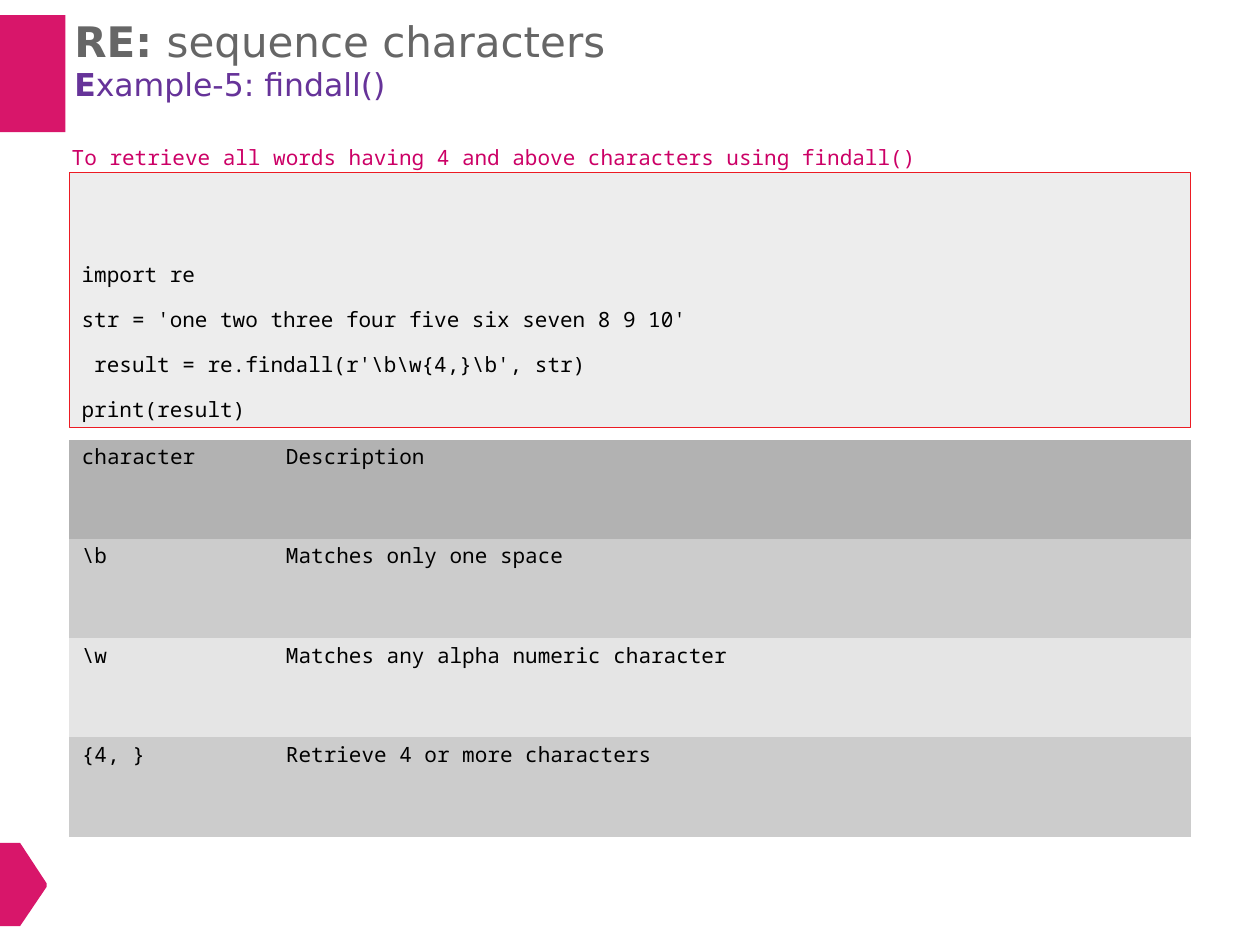
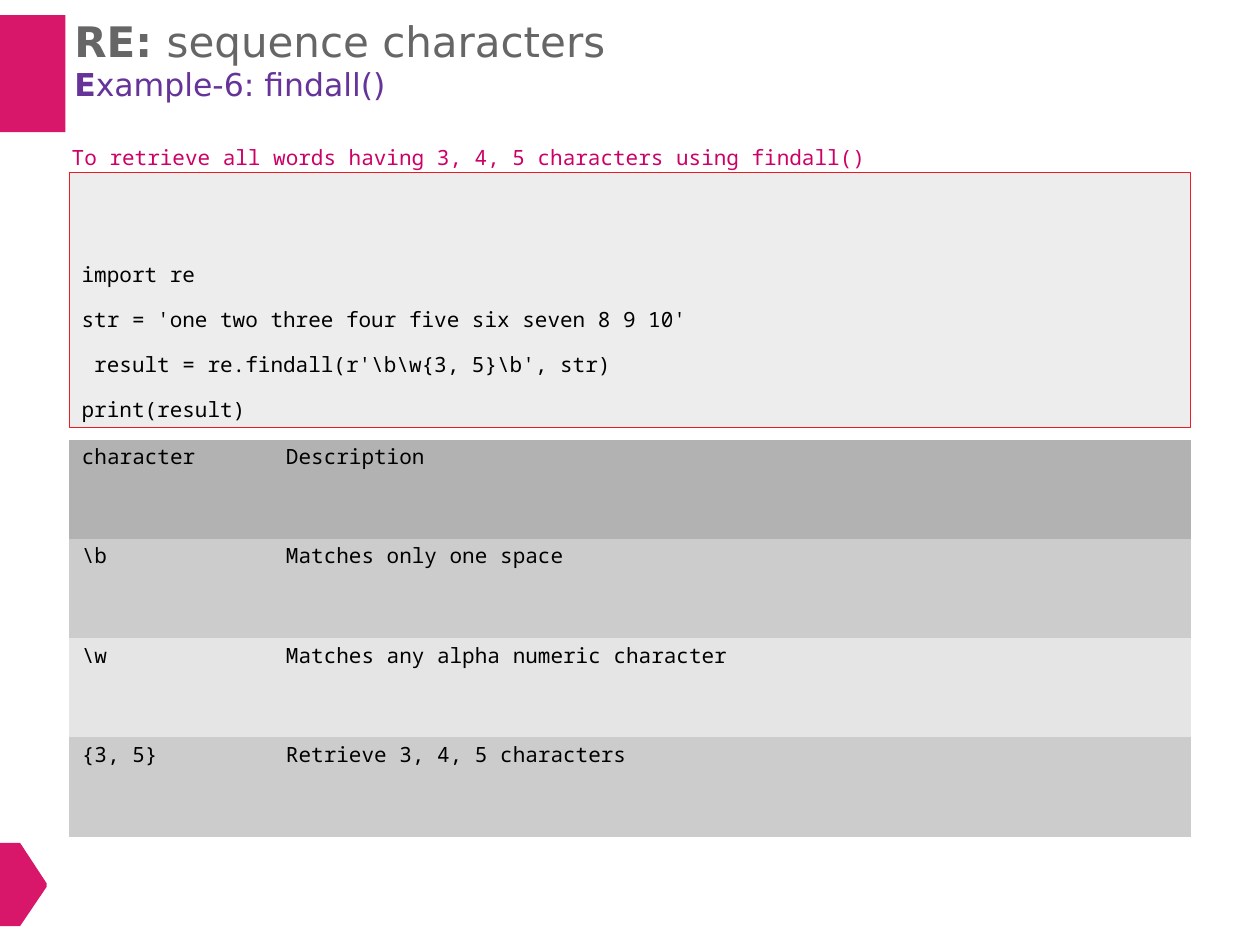
from pptx import Presentation
from pptx.dml.color import RGBColor
from pptx.enum.shapes import MSO_SHAPE
from pptx.enum.text import MSO_ANCHOR, PP_ALIGN
from pptx.util import Inches, Pt

PINK, GREY, PURPLE, ROSE = "D8166A", "666666", "663399", "CC0066"
PANEL, RED, BLACK = "EDEDED", "EC1B23", "000000"
BANDS = ["B2B2B2", "CCCCCC", "E5E5E5", "CCCCCC"]
SANS, MONO = "DejaVu Sans", "Noto Sans Mono"
PLAIN = "{2D5ABB26-0587-4C30-8999-92F81FD0307C}"


def paint(part, color):
    if hasattr(part, "solid"):
        part.solid()
        part = part.fore_color
    else:
        part = part.color
    part.rgb = RGBColor.from_string(color)


def style(para, font, size, color):
    para.alignment = PP_ALIGN.LEFT
    para.font.name = font
    para.font.size = Pt(size)
    paint(para.font, color)


pages = [
    {
        "title": "xample-5: findall()",
        "task": "To retrieve all words having 4 and above characters using findall()",
        "match": r"\b\w{4,}\b",
        "cols": [1.36, 7.54],
        "rows": [
            ["character", "Description"],
            [r"\b", "Matches only one space"],
            [r"\w", "Matches any alpha numeric character"],
            ["{4, }", "Retrieve 4 or more characters"],
        ],
    },
    {
        "title": "xample-6: findall()",
        "task": "To retrieve all words having 3, 4, 5 characters using findall()",
        "match": r"\b\w{3, 5}\b",
        "cols": [1.36, 2.06, 5.48],
        "rows": [
            ["character", "Description", ""],
            [r"\b", "Matches only one", "space"],
            [r"\w", "Matches any alpha", "numeric character"],
            ["{3, 5}", "Retrieve 3, 4, 5", "characters"],
        ],
    },
]

deck = Presentation()
deck.slide_width, deck.slide_height = Inches(10), Inches(7.5)

for page in pages:
    slide = deck.slides.add_slide(deck.slide_layouts[6])
    shapes = slide.shapes

    band = shapes.add_shape(MSO_SHAPE.RECTANGLE, 0, Inches(0.12), Inches(0.52), Inches(0.93))
    pen = shapes.build_freeform(0, Inches(6.69))
    edge = [(0.16, 6.69), (0.37, 7.01), (0.37, 7.04), (0.16, 7.35), (0, 7.35)]
    pen.add_line_segments([(Inches(x), Inches(y)) for x, y in edge])
    for mark in (band, pen.convert_to_shape()):
        paint(mark.fill, PINK)
        mark.line.fill.background()
        mark.shadow.inherit = False

    title = shapes.add_textbox(Inches(0.58), Inches(0.11), Inches(4.3), Inches(0.73))
    panel = shapes.add_shape(MSO_SHAPE.RECTANGLE, Inches(0.55), Inches(1.37), Inches(8.9), Inches(2.02))
    paint(panel.fill, PANEL)
    paint(panel.line, RED)
    panel.line.width = Pt(0.25)
    panel.shadow.inherit = False
    task = shapes.add_textbox(Inches(0.56), Inches(1.14), Inches(7), Inches(0.23))

    for box, left, top in [(title, 0.01, 0.01), (panel, 0.1, 0.55), (task, 0.01, 0.01)]:
        frame = box.text_frame
        frame.word_wrap = True
        frame.vertical_anchor = MSO_ANCHOR.TOP
        frame.margin_left, frame.margin_top = Inches(left), Inches(top)
        frame.margin_right = frame.margin_bottom = 0

    frame = title.text_frame
    heads = [("RE: ", "sequence characters", 24, GREY), ("E", page["title"], 18, PURPLE)]
    for para, (lead, rest, size, color) in zip([frame.paragraphs[0], frame.add_paragraph()], heads):
        style(para, SANS, size, color)
        run = para.add_run()
        run.text = lead
        run.font.bold = True
        para.add_run().text = rest

    task.text_frame.text = page["task"]
    style(task.text_frame.paragraphs[0], MONO, 12, ROSE)

    panel.text_frame.text = "\n".join([
        "import re",
        "str = 'one two three four five six seven 8 9 10'",
        f" result = re.findall(r'{page['match']}', str)",
        "print(result)",
    ])
    for para in panel.text_frame.paragraphs:
        style(para, MONO, 12, BLACK)
        para.line_spacing = Pt(25.7)

    cols, rows = page["cols"], page["rows"]
    grid = shapes.add_table(len(rows), len(cols), Inches(0.55), Inches(3.49), Inches(8.9), Inches(3.15))
    table = grid.table
    table.first_row = table.horz_banding = False
    for node in grid.element.iter("{*}tableStyleId"):
        node.text = PLAIN
    for col, width in zip(table.columns, cols):
        col.width = Inches(width)
    for r, row in enumerate(rows):
        table.rows[r].height = Inches(3.15 / len(rows))
        for c, text in enumerate(row):
            cell = table.cell(r, c)
            paint(cell.fill, BANDS[r])
            inset = [0.1, 0.36, 0.1 if text.startswith("numeric") else 0][c]
            cell.margin_left, cell.margin_top = Inches(inset), Inches(0.02)
            cell.margin_right = cell.margin_bottom = 0
            cell.text = text
            style(cell.text_frame.paragraphs[0], MONO, 12, BLACK)

deck.save("out.pptx")
